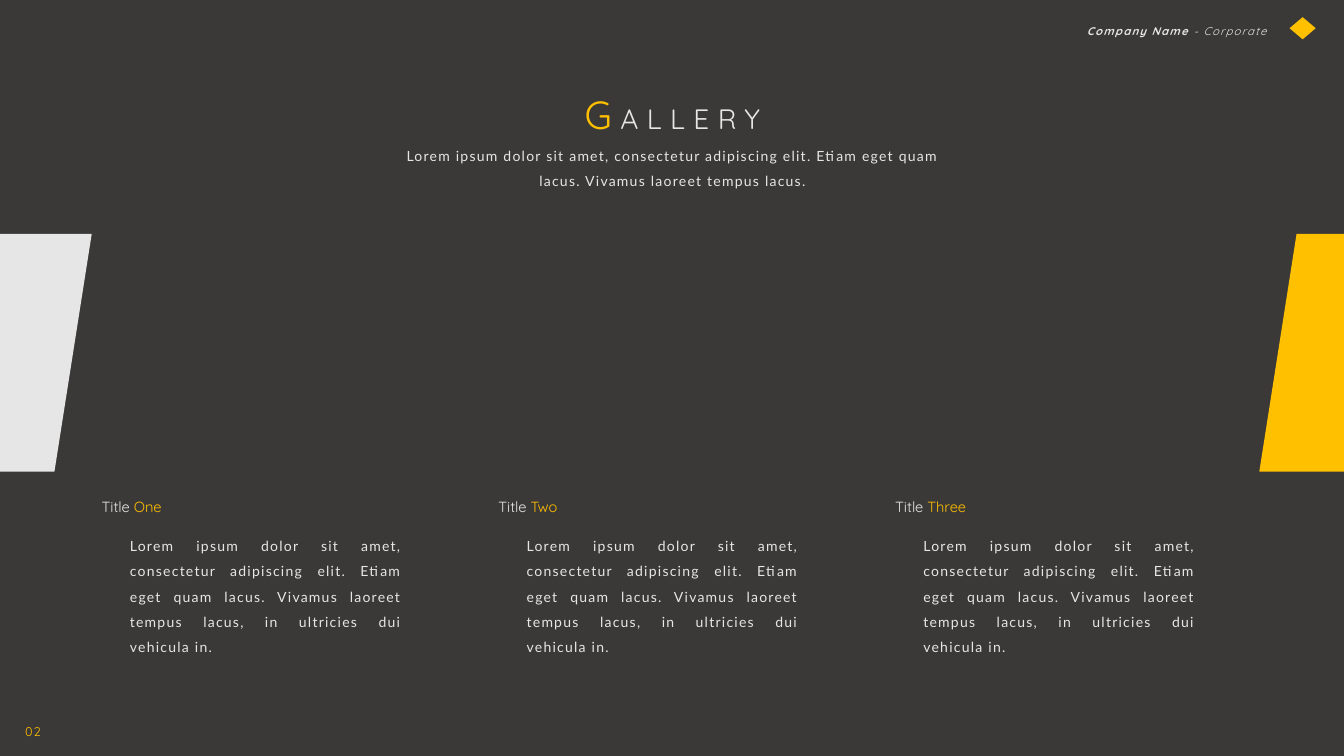
from pptx import Presentation
from pptx import util as u
from pptx.dml.color import RGBColor
from pptx.enum import shapes, text

CHARCOAL = RGBColor(0x3B, 0x38, 0x38)
LIGHT = RGBColor(0xE7, 0xE6, 0xE6)
GOLD = RGBColor(0xFF, 0xC0, 0x00)
HEADING_FONT = "Quicksand"
BODY_FONT = "Lato"
LEFT, CENTER = text.PP_ALIGN.LEFT, text.PP_ALIGN.CENTER
RIGHT, JUSTIFY = text.PP_ALIGN.RIGHT, text.PP_ALIGN.JUSTIFY

INTRO = ("Lorem ipsum dolor sit amet, consectetur adipiscing elit. "
         "Etiam eget quam lacus. Vivamus laoreet tempus lacus.")
CAPTION = ("Lorem ipsum dolor sit amet, consectetur adipiscing elit. Etiam eget "
           "quam lacus. Vivamus laoreet tempus lacus, in ultricies dui vehicula in.")


class GallerySlide:
    """Holds the slide and draws its elements in one style."""

    def __init__(self, prs):
        self.slide = prs.slides.add_slide(prs.slide_layouts[6])
        background = self.slide.background.fill
        background.solid()
        background.fore_color.rgb = CHARCOAL

    def paint(self, shape, color):
        shape.shadow.inherit = False
        shape.fill.solid()
        shape.fill.fore_color.rgb = color
        shape.line.fill.background()

    def panel(self, corners, color):
        points = [(u.Inches(x), u.Inches(y)) for x, y in corners]
        builder = self.slide.shapes.build_freeform(*points[0], scale=1.0)
        builder.add_line_segments(points[1:], close=True)
        self.paint(builder.convert_to_shape(), color)

    def emblem(self, left, top, width, height):
        diamond = self.slide.shapes.add_shape(
            shapes.MSO_SHAPE.DIAMOND,
            *map(u.Inches, (left, top, width, height)))
        self.paint(diamond, GOLD)

    def label(self, place, runs, font=HEADING_FONT, align=LEFT, line_spacing=1.5,
              tracking=0.9, anchor=text.MSO_ANCHOR.TOP, italic=None):
        """Each run is (wording, size, colour, bold)."""
        box = self.slide.shapes.add_textbox(*map(u.Inches, place))
        frame = box.text_frame
        frame.word_wrap = True
        frame.auto_size = text.MSO_AUTO_SIZE.SHAPE_TO_FIT_TEXT
        frame.vertical_anchor = anchor
        paragraph = frame.paragraphs[0]
        paragraph.alignment = align
        paragraph.line_spacing = line_spacing
        for wording, size, color, bold in runs:
            run = paragraph.add_run()
            run.text = wording
            run.font.name = font
            run.font.size = u.Pt(size)
            run.font.color.rgb = color
            run.font.bold = bold
            run.font.italic = italic
            if tracking:
                run.font._element.set("spc", str(round(tracking * 100)))


def main():
    prs = Presentation()
    prs.slide_width, prs.slide_height = u.Inches(13.33), u.Inches(7.5)
    gallery = GallerySlide(prs)

    # Header and page number
    gallery.emblem(12.79, 0.17, 0.26, 0.22)
    gallery.label((10.64, 0.13, 2.02, 0.28),
                  [("Company Name ", 8, LIGHT, True), ("- Corporate", 8, LIGHT, False)],
                  align=RIGHT, italic=True)
    gallery.label((0.15, 7.06, 0.53, 0.3), [("02", 9, GOLD, False)])

    # Slanted panels at the slide edges
    top, bottom = 2.32, 4.68
    gallery.panel([(12.86, top), (13.33, top), (13.33, bottom), (12.49, bottom)], GOLD)
    gallery.panel([(0, top), (0.91, top), (0.54, bottom), (0, bottom)], LIGHT)

    # Three captions
    for column, number in enumerate(("One", "Two", "Three")):
        left = 0.91 + 3.935 * column
        gallery.label((left, 4.89, 1.87, 0.29),
                      [("Title ", 10.5, LIGHT, False), (number, 10.5, GOLD, False)],
                      line_spacing=1.0, tracking=0)
        gallery.label((left + 0.28, 5.2, 2.89, 1.08), [(CAPTION, 10, LIGHT, False)],
                      font=BODY_FONT, align=JUSTIFY)

    # Title and introduction
    gallery.label((3.62, 0.84, 6.1, 0.57),
                  [("G", 28, GOLD, False), ("ALLERY", 20, LIGHT, False)],
                  align=CENTER, line_spacing=1.0, tracking=6,
                  anchor=text.MSO_ANCHOR.MIDDLE)
    gallery.label((3.79, 1.33, 5.76, 0.57), [(INTRO, 10, LIGHT, False)],
                  font=BODY_FONT, align=CENTER)

    prs.save("out.pptx")


if __name__ == "__main__":
    main()
